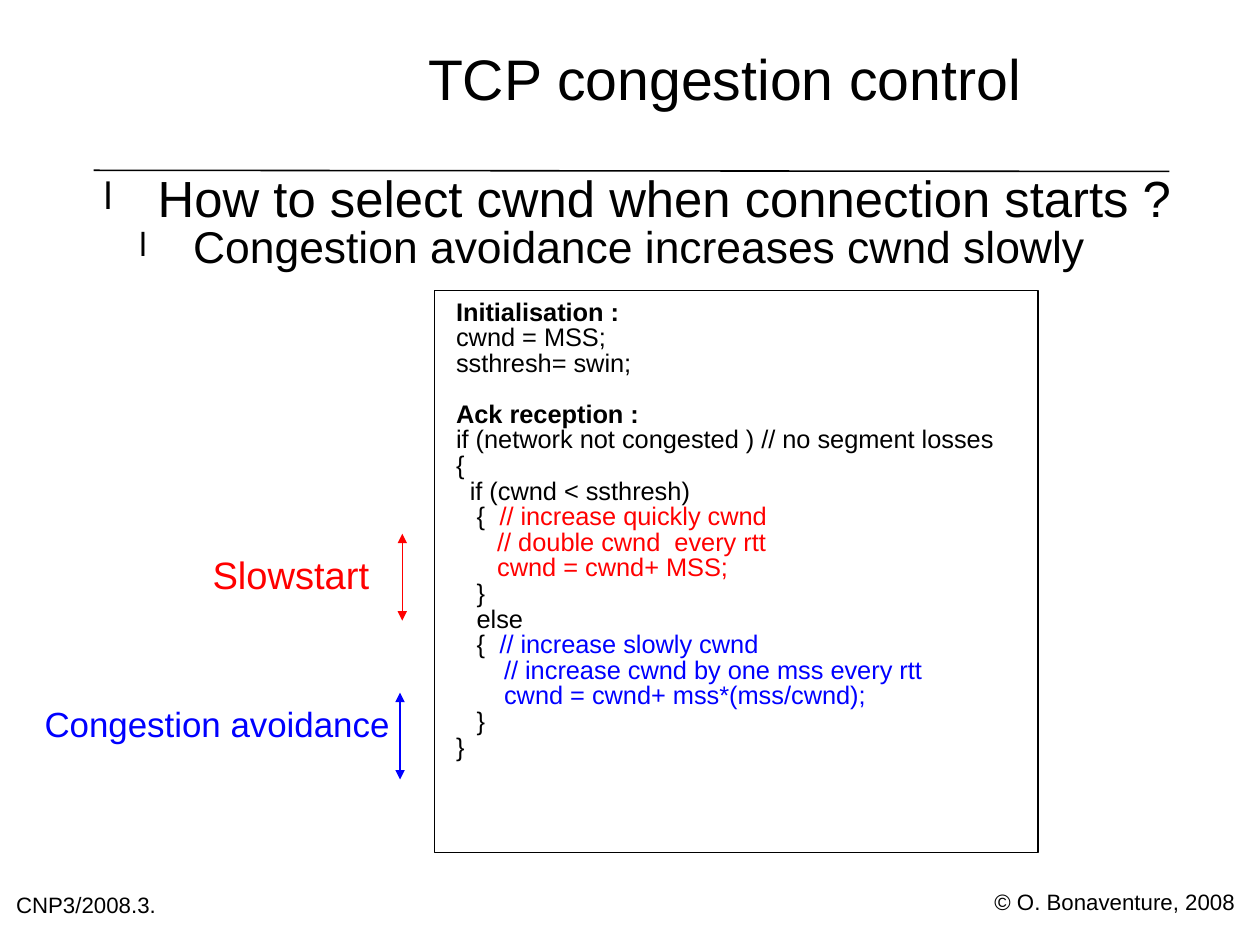
from lxml.etree import SubElement
from pptx import Presentation
from pptx.dml.color import RGBColor
from pptx.enum.shapes import MSO_CONNECTOR as CONNECTOR, MSO_SHAPE as SHAPE
from pptx.enum.text import MSO_ANCHOR as ANCHOR, MSO_AUTO_SIZE as AUTO_SIZE, PP_ALIGN as ALIGN
from pptx.oxml.ns import qn
from pptx.util import Cm, Inches, Pt

COLORS = {"ink": "000000", "slowstart": "FF0000", "avoidance": "0000FF"}
LINE_SPACING = 0.84
CODE_SIZE = 16
SPACE_WIDTH = 0.06  # one space of the code font, in inches

# Code lines: indent in spaces, pieces of (text, color, bold)
CODE = [
    (0, [("Initialisation :", "ink", True)]),
    (0, [("cwnd = MSS;", "ink", False)]),
    (0, [("ssthresh= swin;", "ink", False)]),
    (0, [("Ack reception :", "ink", True)]),
    (0, [("if (network not congested ) // no segment losses", "ink", False)]),
    (0, [("{", "ink", False)]),
    (2, [("if (cwnd < ssthresh)", "ink", False)]),
    (3, [("{\t", "ink", False), ("// increase quickly cwnd", "slowstart", False)]),
    (6, [("// double cwnd  every rtt", "slowstart", False)]),
    (6, [("cwnd = cwnd+ MSS;", "slowstart", False)]),
    (3, [("}", "ink", False)]),
    (3, [("else", "ink", False)]),
    (3, [("{\t", "ink", False), ("// increase slowly cwnd", "avoidance", False)]),
    (7, [("// increase cwnd by one mss every rtt", "avoidance", False)]),
    (7, [("cwnd = cwnd+ mss*(mss/cwnd);", "avoidance", False)]),
    (3, [("}", "ink", False)]),
    (0, [("}", "ink", False)]),
]


def rgb(color):
    return RGBColor.from_string(COLORS[color])


def prepare_frame(shape, wrap=True):
    frame = shape.text_frame
    settings = {"margin_left": 0, "margin_top": 0, "margin_right": 0, "margin_bottom": 0,
                "word_wrap": wrap, "auto_size": AUTO_SIZE.NONE}
    for name, value in settings.items():
        setattr(frame, name, value)
    return frame


def add_run(paragraph, text, size, color="ink", bold=False):
    paragraph.line_spacing = LINE_SPACING
    run = paragraph.add_run()
    run.text = text
    for name, value in {"name": "Arial", "size": Pt(size), "bold": bold}.items():
        setattr(run.font, name, value)
    run.font.color.rgb = rgb(color)


def indent(paragraph, left, first=0.0):
    props = paragraph._p.get_or_add_pPr()
    props.set("marL", str(Inches(left)))
    props.set("indent", str(Inches(first)))
    return props


def add_label(slide, box, text, size, color="ink", wrap=False):
    label = slide.shapes.add_textbox(*map(Inches, box))
    add_run(prepare_frame(label, wrap).paragraphs[0], text, size, color)


def add_line(slide, start, end, color="ink", arrows=False):
    line = slide.shapes.add_connector(CONNECTOR.STRAIGHT, *map(Inches, start + end))
    line.line.width = Pt(1)
    line.line.color.rgb = rgb(color)
    if arrows:
        for tag in ("a:headEnd", "a:tailEnd"):
            SubElement(line.line._get_or_add_ln(), qn(tag), type="triangle")
    SubElement(line._element.spPr, qn("a:effectLst"))


def add_title(slide, box):
    title = slide.shapes.title
    title.left, title.top, title.width, title.height = map(Inches, box)
    frame = prepare_frame(title)
    frame.vertical_anchor = ANCHOR.MIDDLE
    frame.paragraphs[0].alignment = ALIGN.CENTER
    add_run(frame.paragraphs[0], "TCP congestion control", 36)
    add_line(slide, (0.82, 1.49), (10.23, 1.5))


def add_question(slide, box):
    frame = prepare_frame(slide.shapes.add_textbox(*map(Inches, box)))
    points = [("How to select cwnd when connection starts ?", 32, 0.55),
              ("Congestion avoidance increases cwnd slowly", 28, 0.86)]
    for level, (text, size, left) in enumerate(points):
        paragraph = frame.add_paragraph() if level else frame.paragraphs[0]
        paragraph.level = level
        add_run(paragraph, text, size)
        props = indent(paragraph, left, -0.47)
        bullet_color = SubElement(props, qn("a:buClr"))
        SubElement(bullet_color, qn("a:srgbClr"), val=COLORS["ink"])
        SubElement(props, qn("a:buSzPct"), val="75000")
        SubElement(props, qn("a:buFont"), typeface="Arial")
        SubElement(props, qn("a:buChar"), char="l")


def add_code(slide, box):
    left, top, width, height = box
    group = slide.shapes.add_group_shape()
    listing = group.shapes.add_textbox(
        Inches(left + 0.19), Inches(top + 0.09), Inches(width - 0.5), Inches(height - 0.89))
    frame = prepare_frame(listing)
    for number, (spaces, pieces) in enumerate(CODE):
        paragraph = frame.add_paragraph() if number else frame.paragraphs[0]
        for text, color, bold in pieces:
            add_run(paragraph, text, CODE_SIZE, color, bold)
        # A comment after a brace starts at the hanging indent
        hang = 0.2 if len(pieces) > 1 else 0
        indent(paragraph, spaces * SPACE_WIDTH + hang, -hang)
        if pieces[0][0] == "Ack reception :":
            paragraph.space_before = Pt(CODE_SIZE)

    frame_box = group.shapes.add_shape(SHAPE.ROUNDED_RECTANGLE, *map(Inches, box))
    frame_box.adjustments[0] = 0
    frame_box.shadow.inherit = False
    frame_box.fill.background()
    frame_box.line.color.rgb = rgb("ink")
    frame_box.line.width = Pt(1)


def add_phase(slide, box, text, size, color, arrow_x, arrow_top):
    add_label(slide, box, text, size, color)
    add_line(slide, (arrow_x, arrow_top), (arrow_x, arrow_top + 0.76), color, arrows=True)


def add_footer(slide):
    add_label(slide, (8.7, 7.81, 2.11, 0.2), "© O. Bonaventure, 2008", 14)
    add_label(slide, (0.14, 7.84, 1.68, 0.24), "CNP3/2008.3.", 14, wrap=True)


def main():
    deck = Presentation()
    # The page is metric: 28 by 21 cm
    deck.slide_width = Cm(28)
    deck.slide_height = Cm(21)
    slide = deck.slides.add_slide(deck.slide_layouts[5])
    add_title(slide, (2.36, 0, 7.96, 1.46))
    add_footer(slide)
    add_question(slide, (0.83, 1.54, 9.65, 6.72))
    add_code(slide, (3.8, 2.54, 5.28, 4.92))
    add_phase(slide, (1.86, 4.89, 1.37, 0.34), "Slowstart", 24, "slowstart", 3.52, 4.67)
    add_phase(slide, (0.39, 6.21, 3.02, 0.31), "Congestion avoidance", 22, "avoidance", 3.5, 6.06)
    deck.save("out.pptx")


if __name__ == "__main__":
    main()
